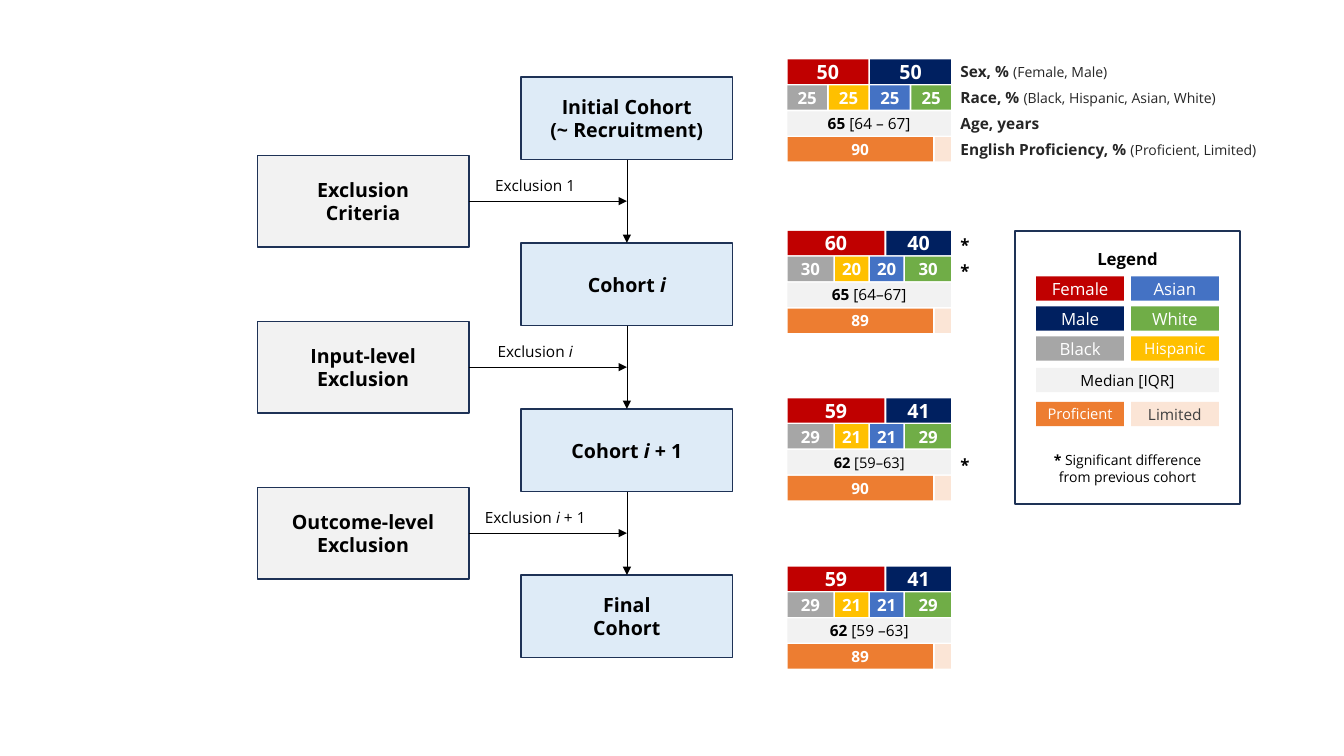
from dataclasses import dataclass
from typing import NamedTuple

from lxml.etree import SubElement
from pptx import Presentation
from pptx.dml.color import RGBColor as Rgb
from pptx.enum.shapes import MSO_CONNECTOR as Link, MSO_SHAPE as Form
from pptx.enum.text import MSO_ANCHOR as Anchor, PP_ALIGN as Align
from pptx.oxml.ns import qn
from pptx.util import Pt


@dataclass(frozen=True)
class Theme:
    font: str = "Open Sans"
    black: str = "000000"
    white: str = "FFFFFF"
    ink: str = "262626"
    soft: str = "404040"
    edge: str = "1E3256"
    cohort: str = "DEEBF7"
    pale: str = "F2F2F2"
    red: str = "C00000"
    navy: str = "002060"
    gray: str = "A6A6A6"
    gold: str = "FFC000"
    blue: str = "4472C4"
    green: str = "70AD47"
    orange: str = "ED7D31"
    peach: str = "FBE5D6"
    head: float = 14
    mid: float = 12
    body: float = 11
    snug: float = 10.5
    small: float = 10


T = Theme()


class Box(NamedTuple):
    left: float
    top: float
    wide: float
    high: float


class Run(NamedTuple):
    text: str
    size: float
    color: str = T.black
    bold: bool = False
    slant: bool = False


class Panel(NamedTuple):
    top: float
    sex: tuple
    halves: tuple
    race: tuple
    cuts: tuple
    age: str
    range: str
    size: float
    fluent: int
    stars: tuple


class Chip(NamedTuple):
    col: int
    top: float
    text: str
    fill: str
    size: float
    color: str = T.white


deck = Presentation()
deck.slide_width, deck.slide_height = Pt(960), Pt(540)
slide = deck.slides.add_slide(deck.slide_layouts[6])
shapes = slide.shapes


def write(shape, runs: tuple, align=Align.CENTER, inset: float = 0) -> None:
    frame = shape.text_frame
    frame.word_wrap = True
    frame.vertical_anchor = Anchor.MIDDLE
    frame.margin_left = frame.margin_right = Pt(inset)
    frame.margin_top = frame.margin_bottom = 0
    para = frame.paragraphs[0]
    para.alignment = align
    for item in runs:
        if item.text == "\n":
            para.add_line_break()
            continue
        run = para.add_run()
        run.text = item.text
        font = run.font
        font.name, font.size = T.font, Pt(item.size)
        font.bold, font.italic = item.bold, item.slant
        font.color.rgb = Rgb.from_string(item.color)


def block(box: Box, fill: str = "", runs: tuple = (), edge: str = ""):
    shape = shapes.add_shape(Form.RECTANGLE, *map(Pt, box))
    shape.shadow.inherit = False
    if fill:
        shape.fill.solid()
        shape.fill.fore_color.rgb = Rgb.from_string(fill)
    else:
        shape.fill.background()
    if edge:
        shape.line.color.rgb = Rgb.from_string(edge)
        shape.line.width = Pt(1)
    else:
        shape.line.fill.background()
    if runs:
        write(shape, runs)
    return shape


def label(box: Box, runs: tuple, align=Align.CENTER) -> None:
    write(shapes.add_textbox(*map(Pt, box)), runs, align, 7.2)


def arrow(start, site: int, x: float, y: float):
    link = shapes.add_connector(Link.STRAIGHT, 0, 0, Pt(x), Pt(y))
    link.begin_connect(start, site)
    link.line.color.rgb = Rgb.from_string(T.black)
    link.line.width = Pt(0.5)
    props = link.element.spPr
    SubElement(props.find(qn("a:ln")), qn("a:tailEnd"), type="triangle")
    SubElement(props, qn("a:effectLst"))
    return link


def bar(top: float, cuts: tuple, fills: tuple, texts: tuple, size: float, gap: float = 1.3) -> None:
    left = LEFT
    room = WIDE - gap * (len(cuts) - 1)
    for cut, fill, text in zip(cuts, fills, texts):
        wide = room * cut / sum(cuts)
        runs = (Run(str(text), size, T.white, True),) if text else ()
        block(Box(left, top, wide, HIGH), fill, runs)
        left += wide + gap


def bold(text: str, slant: bool = False) -> Run:
    return Run(text, T.head, T.black, True, slant)


def plain(text: str, slant: bool = False) -> Run:
    return Run(text, T.body, T.black, False, slant)


STEP, MID = 118.6, 447.8
BREAK = bold("\n")
cohorts = (
    (bold("Initial Cohort"), BREAK, bold("(~ Recruitment)")),
    (bold("Cohort "), bold("i", True)),
    (bold("Cohort "), bold("i ", True), bold("+ 1")),
    (bold("Final"), BREAK, bold("Cohort")),
)
stages = [block(Box(MID - 75.6, 54.9 + STEP * i, 151.2, 59.2), T.cohort, runs, T.edge)
          for i, runs in enumerate(cohorts)]
for start, end in zip(stages, stages[1:]):
    arrow(start, 2, MID, end.top.pt).end_connect(end, 0)

rules = (
    (("Exclusion", "Criteria"), (plain("Exclusion 1"),)),
    (("Input-level", "Exclusion"), (plain("Exclusion "), plain("i", True))),
    (("Outcome-level", "Exclusion"), (plain("Exclusion "), plain("i ", True), plain("+ 1"))),
)
for i, ((first, last), note) in enumerate(rules):
    drop = STEP * i
    rule = block(Box(183.8, 110.9 + drop, 151.2, 65.5), T.pale, (bold(first), BREAK, bold(last)), T.edge)
    arrow(rule, 3, MID, 143.65 + drop)
    label(Box(334.1, 122.3 + drop, 96.5, 20.6), note)

LEFT, WIDE, HIGH, PITCH, SIDE = 562.5, 116.8, 17.4, 18.5, 679
SKEW, FOUR = (60, 40), (29, 21, 21, 29)
panels = (
    Panel(42.5, (50, 50), (50, 50), (25,) * 4, (25,) * 4, "65", " [64 – 67]", T.body, 90, ()),
    Panel(164.9, (60, 40), SKEW, (30, 20, 20, 30), FOUR, "65", " [64–67]", T.body, 89, (0, 1)),
    Panel(284.5, (59, 41), SKEW, FOUR, FOUR, "62", " [59–63]", T.snug, 90, (2,)),
    Panel(404.7, (59, 41), SKEW, FOUR, FOUR, "62", " [59 –63]", T.body, 89, ()),
)
for panel in panels:
    rows = [panel.top + PITCH * i for i in range(4)]
    bar(rows[0], panel.halves, (T.red, T.navy), panel.sex, T.head)
    bar(rows[1], panel.cuts, (T.gray, T.gold, T.blue, T.green), panel.race, T.mid)
    block(Box(LEFT, rows[2], WIDE, HIGH), T.pale,
          (Run(panel.age, panel.size, bold=True), Run(panel.range, panel.size)))
    bar(rows[3], (90, 10), (T.orange, T.peach), (panel.fluent, ""), T.body)
    for row in panel.stars:
        label(Box(SIDE, rows[row] - 0.5, 23.8, 21.6), (Run("*", T.mid, bold=True),), Align.LEFT)

keys = (
    ("Sex, % ", "(Female, Male)"),
    ("Race, % ", "(Black, Hispanic, Asian, White)"),
    ("Age, years", ""),
    ("English Proficiency, % ", "(Proficient, Limited)"),
)
for i, (name, note) in enumerate(keys):
    runs = (Run(name, T.body, T.ink, True),)
    if note:
        runs += (Run(note, T.small, T.ink),)
    label(Box(SIDE, panels[0].top + PITCH * i - 1.8, 235, 20.6), runs, Align.LEFT)

EDGE, FULL = 740.2, 130.4
block(Box(725, 164.9, 160.8, 195.1), edge=T.edge)
label(Box(EDGE, 174.2, FULL, 21.6), (Run("Legend", T.mid, bold=True),))
chips = (
    Chip(0, 197.4, "Female", T.red, T.mid),
    Chip(1, 197.4, "Asian", T.blue, T.mid),
    Chip(0, 218.8, "Male", T.navy, T.mid),
    Chip(1, 218.8, "White", T.green, T.mid),
    Chip(0, 240.2, "Black", T.gray, T.mid),
    Chip(1, 240.2, "Hispanic", T.gold, T.body),
    Chip(0, 287, "Proficient", T.orange, T.snug),
    Chip(1, 287, "Limited", T.peach, T.body, T.soft),
)
for chip in chips:
    block(Box(EDGE + 67.7 * chip.col, chip.top, 62.7, HIGH), chip.fill,
          (Run(chip.text, chip.size, chip.color),))
block(Box(EDGE, 262.8, FULL, HIGH), T.pale, (plain("Median [IQR]"),))
label(Box(EDGE, 319, FULL, 31.7),
      (Run("*", T.small, bold=True), Run(" Significant difference from previous cohort", T.small)))

deck.save("out.pptx")
